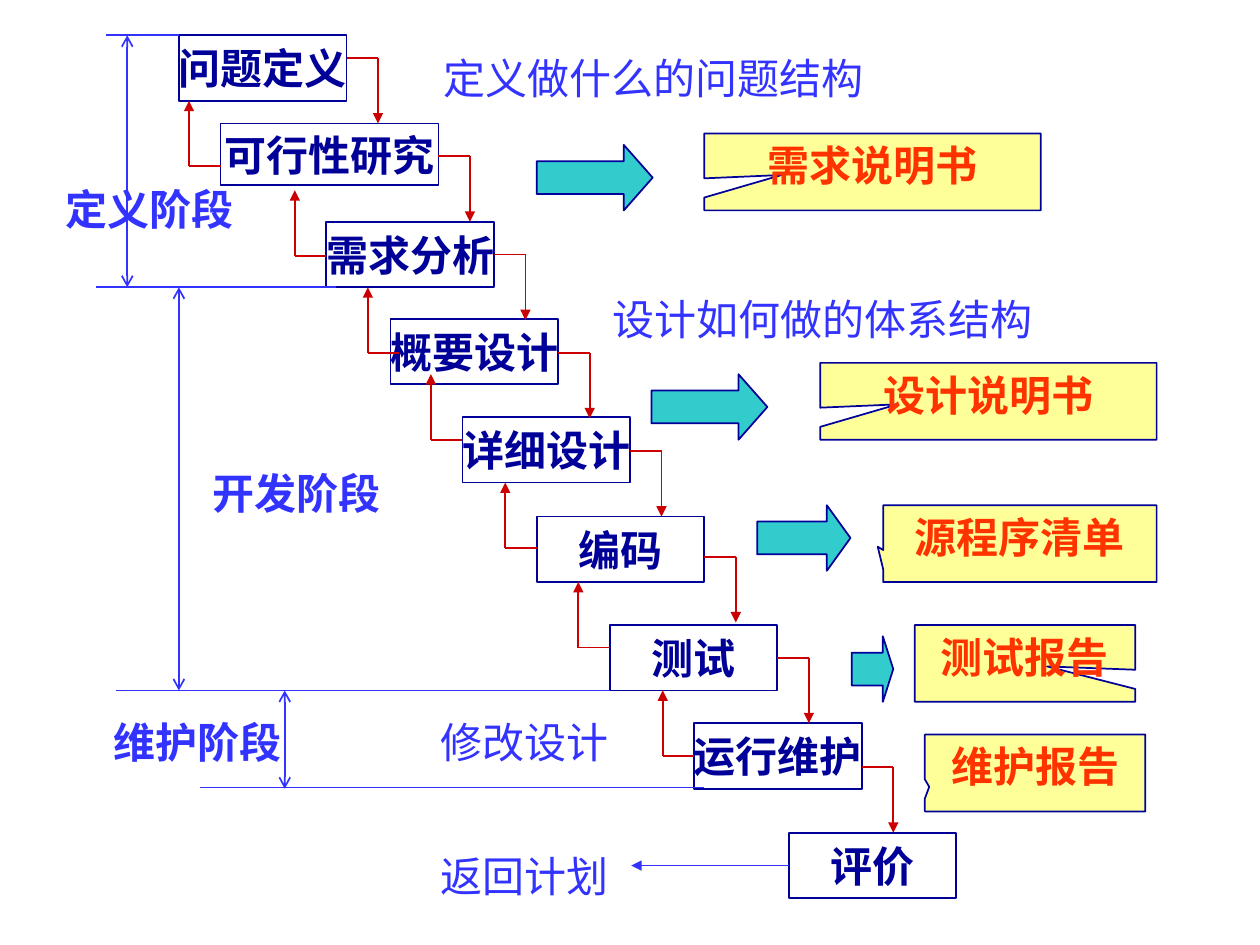
from pptx import Presentation
from pptx.dml.color import RGBColor
from pptx.enum.shapes import MSO_CONNECTOR as CONNECTOR, MSO_SHAPE as SHAPE
from pptx.enum.text import MSO_ANCHOR as ANCHOR, MSO_AUTO_SIZE as AUTO, PP_ALIGN as ALIGN
from pptx.oxml.ns import qn
from pptx.util import Inches, Pt
from lxml.etree import SubElement

COLUMNS, ROWS = 100, 75
NAVY, BLUE, RED, ORANGE = "000099", "3333FF", "CC0000", "FF3300"
WHITE, YELLOW, TEAL = "FFFFFF", "FFFF99", "33CCCC"


def color(hex_code):
    return RGBColor.from_string(hex_code)


def write(frame, text, ink=NAVY, bold=True, align=ALIGN.CENTER, anchor=ANCHOR.TOP,
          wrap=True, margins=(0.1, 0.05)):
    frame.word_wrap = wrap
    frame.vertical_anchor = anchor
    frame.margin_left = frame.margin_right = Inches(margins[0])
    frame.margin_top = frame.margin_bottom = Inches(margins[1])
    paragraph = frame.paragraphs[0]
    paragraph.alignment = align
    run = paragraph.add_run()
    run.text = text
    run.font.name = "Times New Roman"
    run.font.size = Pt(24)
    run.font.bold = bold
    run.font.color.rgb = color(ink)


class Diagram:
    """Places elements on a grid of COLUMNS by ROWS over the slide."""

    def __init__(self, deck):
        self.slide = deck.slides.add_slide(deck.slide_layouts[6])
        self.column = deck.slide_width / COLUMNS
        self.row = deck.slide_height / ROWS
        self.line_width = Pt(1)

    def grid(self, *lengths):
        return [round(length * (self.row if i % 2 else self.column))
                for i, length in enumerate(lengths)]

    def block(self, kind, place, fill, adjustments=()):
        shape = self.slide.shapes.add_shape(kind, *self.grid(*place))
        shape.shadow.inherit = False
        shape.fill.solid()
        shape.fill.fore_color.rgb = color(fill)
        shape.line.color.rgb = color(NAVY)
        shape.line.width = self.line_width
        for i, value in enumerate(adjustments):
            shape.adjustments[i] = value
        return shape

    def stage(self, text, place):
        box = self.block(SHAPE.RECTANGLE, place, WHITE)
        write(box.text_frame, text, anchor=ANCHOR.MIDDLE, wrap=False, margins=(0.02, 0))

    def document(self, text, place, pointer):
        callout = self.block(SHAPE.RECTANGULAR_CALLOUT, place, YELLOW, pointer)
        write(callout.text_frame, text, ink=ORANGE)

    def arrow(self, place, head):
        self.block(SHAPE.RIGHT_ARROW, place, TEAL, (0.5, head))

    def label(self, text, place, bold):
        box = self.slide.shapes.add_textbox(*self.grid(*place))
        write(box.text_frame, text, ink=BLUE, bold=bold, align=ALIGN.LEFT)
        box.text_frame.auto_size = AUTO.SHAPE_TO_FIT_TEXT

    def line(self, x1, y1, x2, y2, ink=BLUE, head=None, tail=None):
        connector = self.slide.shapes.add_connector(
            CONNECTOR.STRAIGHT, *self.grid(x1, y1, x2, y2))
        connector.line.color.rgb = color(ink)
        connector.line.width = self.line_width
        outline = connector.line._get_or_add_ln()
        for tag, end in (("a:headEnd", head), ("a:tailEnd", tail)):
            if end:
                SubElement(outline, qn(tag), type=end)
        SubElement(connector._element.spPr, qn("a:effectLst"))

    def elbow(self, start, corner, y, rise):
        """Horizontal run between start and corner, then an arrow up or down."""
        self.line(min(start, corner), y, max(start, corner), y, RED)
        self.line(corner, y, corner, y + rise, RED, tail="triangle")


# Stage, left, top, width, height, row of the step down, row of the step back
STAGES = [
    ("问题定义", 14.2, 2.8, 13.3, 5.2, 4.6, None),
    ("可行性研究", 17.5, 9.8, 17.3, 4.9, 12.4, 13.2),
    ("需求分析", 25.9, 17.6, 13.3, 5.2, 20.2, 20.3),
    ("概要设计", 31, 25.3, 13.3, 5.2, 28, 28),
    ("详细设计", 36.7, 33.1, 13.3, 5.2, 35.8, 34.9),
    ("编码", 42.6, 41, 13.3, 5.2, 44.2, 43.5),
    ("测试", 48.4, 49.6, 13.3, 5.2, 52.2, 51.4),
    ("运行维护", 55.1, 57.4, 13.3, 5.2, 60.9, 60),
    ("评价", 62.6, 66.1, 13.3, 5.2, None, None),
]
STEP_RUN, STEP_RISE = 2.5, 5.2
BACK_SHIFT = {"概要设计": 0.7}

PHASE_BORDERS = [(8.4, 2.8, 14.2), (7.6, 22.8, 26.7), (9.2, 54.8, 48.4), (15.9, 62.5, 55.9)]
PHASE_SPANS = [(10.1, 2.8, 22.8), (14.2, 22.8, 54.8), (22.6, 54.8, 62.6)]

LABELS = [
    ("返回计划", (34, 67, 16.1, 5), False),
    ("维护阶段", (8, 56.4, 15.6, 5), True),
    ("开发阶段", (15.9, 36.6, 16.5, 5), True),
    ("定义阶段", (4.2, 14.1, 15.6, 5), True),
    ("定义做什么的问题结构", (34.2, 3.7, 37.6, 5), False),
    ("设计如何做的体系结构", (47.6, 22.8, 39.2, 5), False),
    ("修改设计", (34, 56.4, 19.7, 5), False),
]

# Document, left, top, width, callout pointer, arrow (left, width, head)
DOCUMENTS = [
    ("需求说明书", 55.9, 10.6, 26.7, (-0.27, 0.04), (42.6, 9.2, 0.44)),
    ("设计说明书", 65.1, 28.8, 26.7, (-0.27, 0.04), (51.7, 9.2, 0.44)),
    ("源程序清单", 70.1, 40.1, 21.7, (-0.52, 0.04), (60.1, 7.4, 0.36)),
    ("测试报告", 72.6, 49.6, 17.5, (0.1, 0.04), (67.6, 3.3, 0.25)),
    ("维护报告", 73.4, 58.3, 17.5, (-0.48, 0.18), None),
]
DOCUMENT_HEIGHT, ARROW_HEIGHT = 6.1, 5.2
ARROW_DROP = {"源程序清单": 0}


def main():
    deck = Presentation()
    deck.slide_width, deck.slide_height = Inches(10), Inches(7.5)
    diagram = Diagram(deck)

    # Waterfall stages
    for name, left, top, width, height, _, _ in STAGES:
        diagram.stage(name, (left, top, width, height))

    # Steps down to the next stage and back to the previous one
    for name, left, _, width, _, down, back in STAGES:
        if down is not None:
            right = left + width
            diagram.elbow(right, right + STEP_RUN, down, STEP_RISE)
        if back is not None:
            start = left + BACK_SHIFT.get(name, 0)
            diagram.elbow(start, start - STEP_RUN, back, -STEP_RISE)

    # Phase borders and spans
    for left, y, right in PHASE_BORDERS:
        diagram.line(left, y, right, y)
    for x, top, bottom in PHASE_SPANS:
        diagram.line(x, top, x, bottom, head="arrow", tail="arrow")

    # Return to planning
    diagram.line(50.1, 68.7, 62.6, 68.7, head="triangle")

    # Phase names and remarks
    for text, place, bold in LABELS:
        diagram.label(text, place, bold)

    # Documents delivered by the stages
    for name, left, top, width, pointer, arrow in DOCUMENTS:
        diagram.document(name, (left, top, width, DOCUMENT_HEIGHT), pointer)
        if arrow:
            arrow_left, arrow_width, head = arrow
            arrow_top = top + ARROW_DROP.get(name, 0.9)
            diagram.arrow((arrow_left, arrow_top, arrow_width, ARROW_HEIGHT), head)

    deck.save("out.pptx")


if __name__ == "__main__":
    main()
